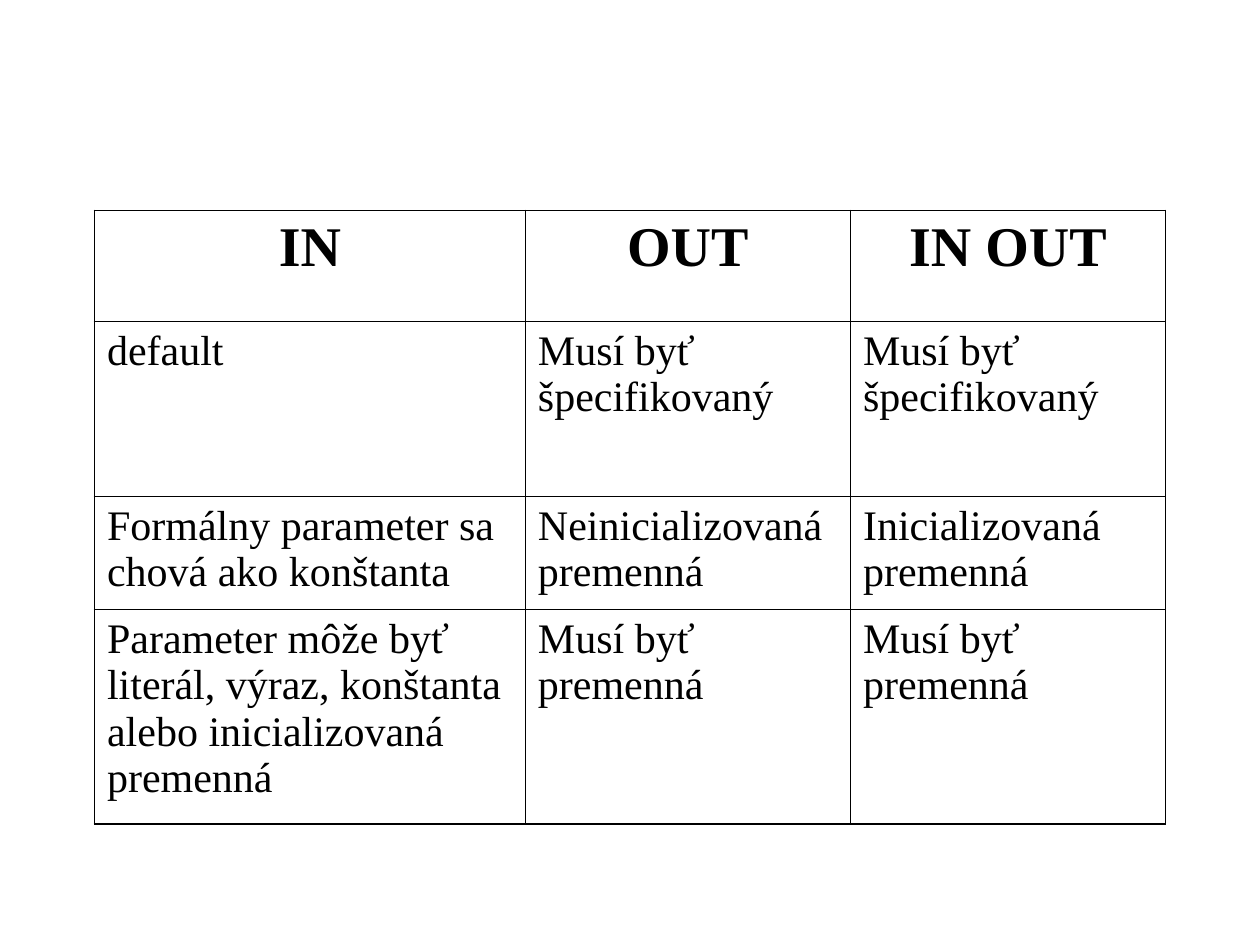
from dataclasses import dataclass

from lxml import etree
from pptx import Presentation
from pptx.dml.color import RGBColor
from pptx.enum.text import PP_ALIGN
from pptx.oxml.ns import qn
from pptx.util import Inches, Pt

CENTER = PP_ALIGN.CENTER
LEFT = PP_ALIGN.LEFT
BLANK_LAYOUT = 6

COLUMN_WIDTHS = [3.42, 2.58, 2.5]
ROW_HEIGHTS = [0.88, 1.39, 0.9, 1.7]
PARAMETER_MODES = [
    ["IN", "OUT", "IN OUT"],
    ["default", "Musí byť špecifikovaný", "Musí byť špecifikovaný"],
    [
        "Formálny parameter sa chová ako konštanta",
        "Neinicializovaná premenná",
        "Inicializovaná premenná",
    ],
    [
        "Parameter môže byť literál, výraz, konštanta alebo inicializovaná premenná",
        "Musí byť premenná",
        "Musí byť premenná",
    ],
]


@dataclass
class Theme:
    font: str = "Times New Roman"
    ink: str = "000000"
    header_size: float = 32
    body_size: float = 24
    outer_border: float = 1.08
    inner_border: float = 0.45


class SlideBuilder:
    def __init__(self, slide, theme):
        self.slide = slide
        self.theme = theme

    def table(self, left, top, widths, heights, rows):
        frame = self.slide.shapes.add_table(
            len(rows), len(widths), Inches(left), Inches(top),
            Inches(sum(widths)), Inches(sum(heights)),
        )
        table = frame.table
        table.first_row = False
        table.horz_banding = False
        for column, width in zip(table.columns, widths):
            column.width = Inches(width)
        for row, height in zip(table.rows, heights):
            row.height = Inches(height)
        last_row, last_col = len(rows) - 1, len(widths) - 1
        for i, texts in enumerate(rows):
            for j, text in enumerate(texts):
                cell = table.cell(i, j)
                self.cell_text(cell, text, header=i == 0)
                self.cell_borders(cell, {
                    "a:lnL": j == 0,
                    "a:lnR": j == last_col,
                    "a:lnT": i == 0,
                    "a:lnB": i == last_row,
                })
                cell.fill.background()

    def cell_text(self, cell, text, header):
        cell.text_frame.text = text
        p = cell.text_frame.paragraphs[0]
        p.alignment = CENTER if header else LEFT
        font = p.runs[0].font
        font.name = self.theme.font
        font.size = Pt(self.theme.header_size if header else self.theme.body_size)
        font.bold = header
        font.color.rgb = RGBColor.from_string(self.theme.ink)

    def cell_borders(self, cell, edges):
        properties = cell._tc.get_or_add_tcPr()
        for tag, outer in edges.items():
            width = self.theme.outer_border if outer else self.theme.inner_border
            line = etree.SubElement(properties, qn(tag), w=str(Pt(width)))
            fill = etree.SubElement(line, qn("a:solidFill"))
            etree.SubElement(fill, qn("a:srgbClr"), val=self.theme.ink)


def main():
    prs = Presentation()
    prs.slide_width = Inches(10)
    prs.slide_height = Inches(7.5)
    s = prs.slides.add_slide(prs.slide_layouts[BLANK_LAYOUT])
    builder = SlideBuilder(s, Theme())
    builder.table(0.75, 1.67, COLUMN_WIDTHS, ROW_HEIGHTS, PARAMETER_MODES)
    prs.save("out.pptx")


if __name__ == "__main__":
    main()
